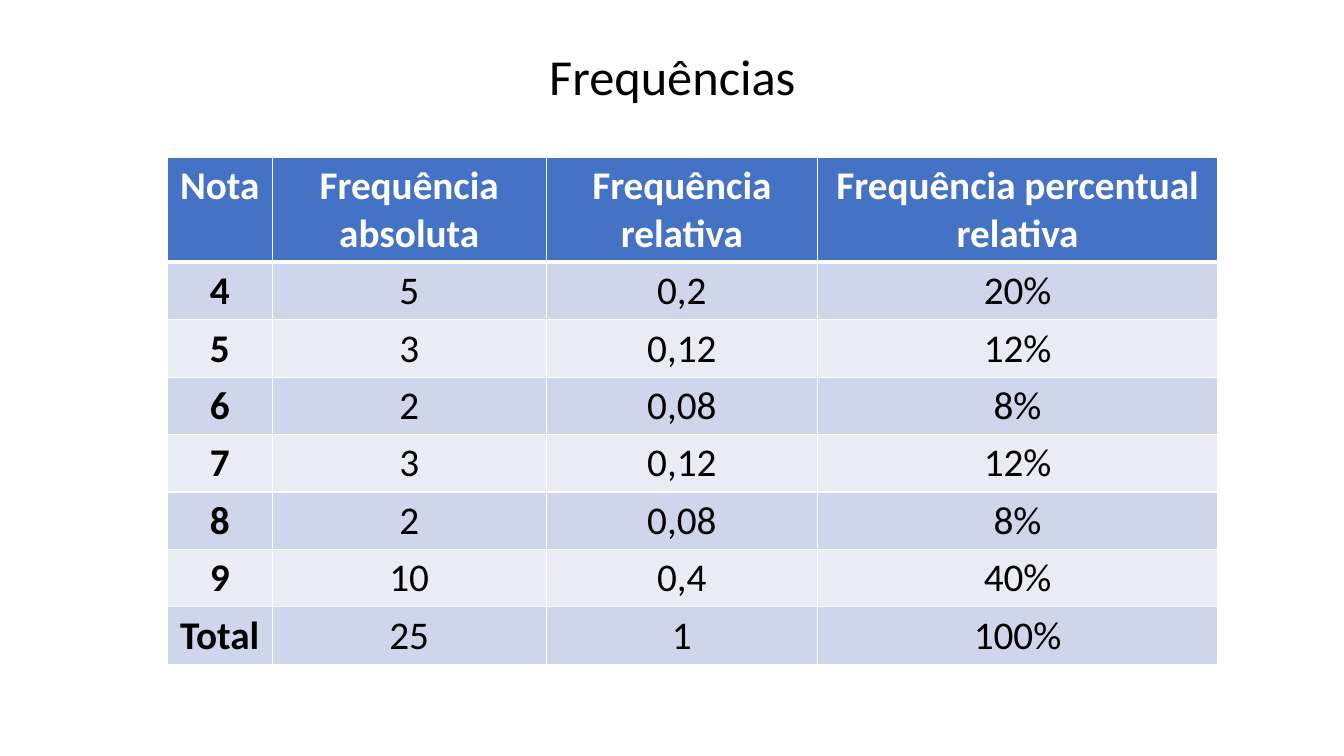
from lxml.etree import SubElement
from pptx import Presentation
from pptx.dml.color import RGBColor
from pptx.enum.text import MSO_ANCHOR as Anchor, PP_ALIGN as Align
from pptx.oxml.ns import qn
from pptx.util import Inches, Pt

HEADER = ["Nota", "Frequência absoluta", "Frequência relativa", "Frequência percentual relativa"]
GRADES = [
    ["4", "5", "0,2", "20%"],
    ["5", "3", "0,12", "12%"],
    ["6", "2", "0,08", "8%"],
    ["7", "3", "0,12", "12%"],
    ["8", "2", "0,08", "8%"],
    ["9", "10", "0,4", "40%"],
    ["Total", "25", "1", "100%"],
]
COLUMN_SHARES = [7.8, 20.4, 20.18, 29.78]
HEADER_SHARE, ROW_SHARE = 13.9, 7.6


def color(hex_string):
    return RGBColor.from_string(hex_string)


class FrequencySlide:
    """Holds the style and the current slide; lengths are percentages of the slide."""

    font = "Calibri"
    ink, paper, accent = "000000", "FFFFFF", "4472C4"
    bands = ["CFD5EA", "E9EBF5"]

    def __init__(self, deck):
        self.deck = deck
        self.page = deck.slides.add_slide(deck.slide_layouts[6])

    def across(self, share):
        return round(self.deck.slide_width * share / 100)

    def down(self, share):
        return round(self.deck.slide_height * share / 100)

    def area(self, left, top, width, height):
        return self.across(left), self.down(top), self.across(width), self.down(height)

    def label(self, frame, text, size, ink, bold=False):
        frame.text = text
        frame.word_wrap = True
        para = frame.paragraphs[0]
        para.alignment = Align.CENTER
        for span in para.runs:
            span.font.name = self.font
            span.font.size = Pt(size)
            span.font.bold = bold
            span.font.color.rgb = color(ink)
        return para

    def title(self, text, *area):
        box = self.page.shapes.add_textbox(*self.area(*area))
        box.text_frame.vertical_anchor = Anchor.TOP
        para = self.label(box.text_frame, text, 36, self.ink)
        para.line_spacing = 0.9
        para.space_before = Pt(10)

    def borders(self, cell, top, bottom):
        properties = cell._tc.get_or_add_tcPr()
        for side, width in (("L", 1), ("R", 1), ("T", top), ("B", bottom)):
            line = SubElement(properties, qn(f"a:ln{side}"), w=str(int(Pt(width))))
            fill = SubElement(line, qn("a:solidFill"))
            SubElement(fill, qn("a:srgbClr"), val=self.paper)

    def table(self, left, top, header, rows):
        height = HEADER_SHARE + ROW_SHARE * len(rows)
        area = self.area(left, top, sum(COLUMN_SHARES), height)
        table = self.page.shapes.add_table(len(rows) + 1, len(header), *area).table
        for column, share in zip(table.columns, COLUMN_SHARES):
            column.width = self.across(share)
        for i, texts in enumerate([header] + rows):
            is_header = i == 0
            table.rows[i].height = self.down(HEADER_SHARE if is_header else ROW_SHARE)
            fill = self.accent if is_header else self.bands[(i - 1) % 2]
            ink = self.paper if is_header else self.ink
            for j, text in enumerate(texts):
                cell = table.cell(i, j)
                self.label(cell.text_frame, text, 28, ink, bold=is_header or j == 0)
                self.borders(cell, top=3 if i == 1 else 1, bottom=3 if is_header else 1)
                cell.fill.solid()
                cell.fill.fore_color.rgb = color(fill)


def main():
    deck = Presentation()
    deck.slide_width, deck.slide_height = Inches(13.33), Inches(7.5)
    slide = FrequencySlide(deck)
    slide.title("Frequências", 6.9, 6.27, 86.27, 12.4)
    slide.table(12.45, 20.8, HEADER, GRADES)
    deck.save("out.pptx")


if __name__ == "__main__":
    main()
